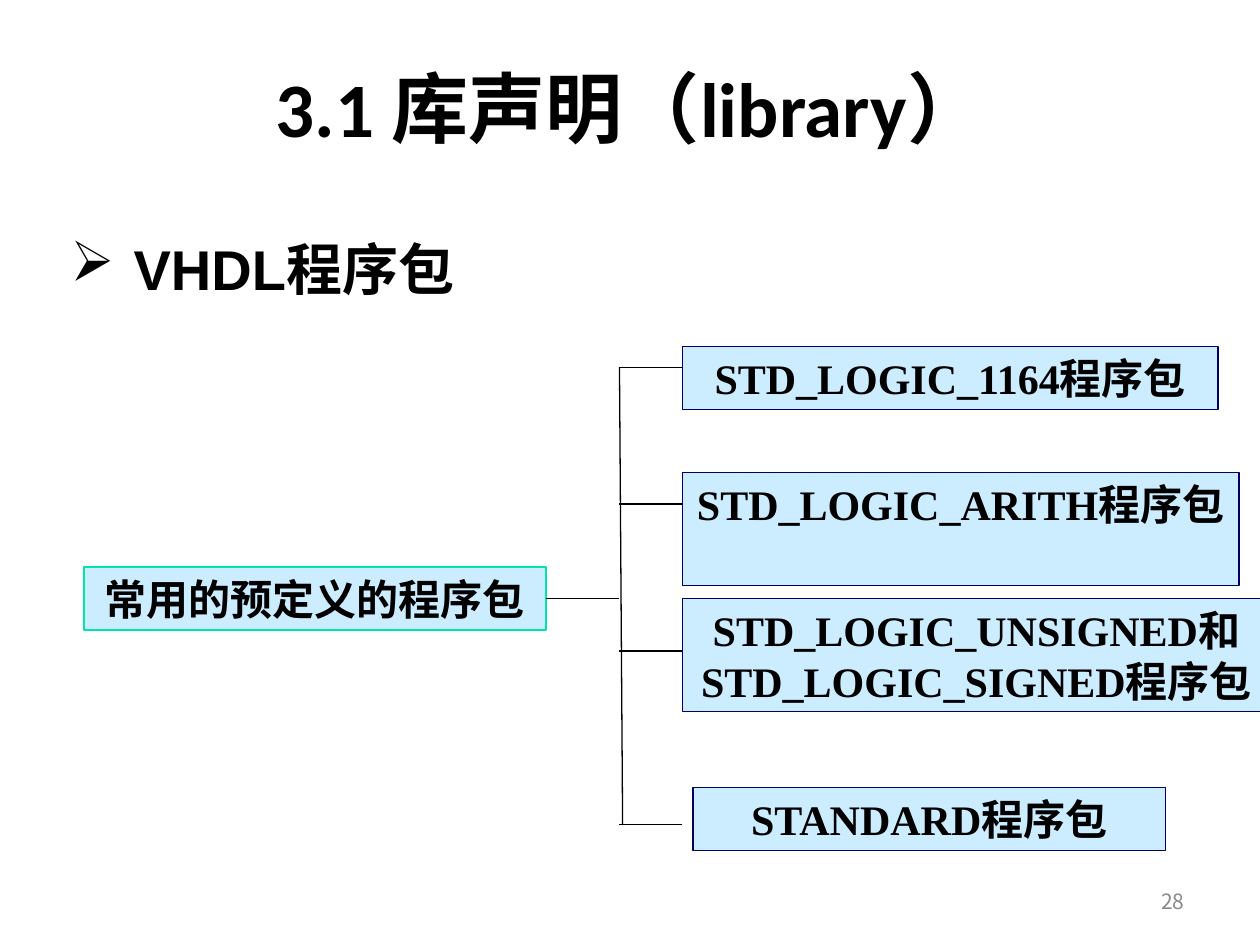
from lxml import etree
from pptx import Presentation
from pptx import util as u
from pptx.dml.color import RGBColor
from pptx.enum import shapes, text
from pptx.oxml import ns

COLS, ROWS = 120, 90
SLIDE_W, SLIDE_H = u.Inches(10), u.Inches(7.5)

BLACK = RGBColor(0x00, 0x00, 0x00)
GREY = RGBColor(0x89, 0x89, 0x89)
PALE_BLUE = RGBColor(0xCC, 0xEC, 0xFF)
NAVY = RGBColor(0x00, 0x00, 0x66)
GREEN = RGBColor(0x00, 0xE4, 0xA8)

# Packages: label, then box as (column, row, columns, rows)
PACKAGES = [
    ("STD_LOGIC_1164程序包", (65, 33, 51, 6)),
    ("STD_LOGIC_ARITH程序包", (65, 45, 53, 10.8)),
    ("STD_LOGIC_UNSIGNED和STD_LOGIC_SIGNED程序包", (65, 57, 56, 10.8)),
    ("STANDARD程序包", (66, 75, 45, 6)),
]
BRANCH_ROWS = [35, 48, 62, 78.5]


def x(col):
    return u.Emu(round(SLIDE_W * col / COLS))


def y(row):
    return u.Emu(round(SLIDE_H * row / ROWS))


def place(box):
    col, row, cols, rows = box
    return x(col), y(row), x(cols), y(rows)


def write(sp, words, size, font, color=BLACK, bold=True,
          align=text.PP_ALIGN.CENTER, anchor=text.MSO_ANCHOR.MIDDLE):
    tf = sp.text_frame
    tf.word_wrap = True
    tf.vertical_anchor = anchor
    p = tf.paragraphs[0]
    p.alignment = align
    r = p.add_run()
    r.text = words
    r.font.size = u.Pt(size)
    r.font.name = font
    r.font.bold = bold
    r.font.color.rgb = color
    return p


def add_label(s, box, words, size, font, **style):
    return write(s.shapes.add_textbox(*place(box)), words, size, font, **style)


def add_arrow_bullet(p):
    pPr = p._p.get_or_add_pPr()
    pPr.set("marL", str(u.Inches(0.5)))
    pPr.set("indent", str(-u.Inches(0.5)))
    font = etree.SubElement(pPr, ns.qn("a:buFont"))
    font.set("typeface", "Wingdings")
    font.set("charset", "2")
    etree.SubElement(pPr, ns.qn("a:buChar")).set("char", "Ø")


def add_node(s, box, words, border):
    sp = s.shapes.add_shape(shapes.MSO_SHAPE.RECTANGLE, *place(box))
    sp.shadow.inherit = False
    sp.fill.solid()
    sp.fill.fore_color.rgb = PALE_BLUE
    sp.line.color.rgb = border
    sp.line.width = u.Pt(0.75)
    write(sp, words, 24, "Times New Roman", anchor=text.MSO_ANCHOR.TOP)


def add_line(s, start, end):
    line = s.shapes.add_connector(shapes.MSO_CONNECTOR.STRAIGHT,
                                  x(start[0]), y(start[1]), x(end[0]), y(end[1]))
    line.line.color.rgb = BLACK
    line.line.width = u.Pt(0.75)
    etree.SubElement(line._element.spPr, ns.qn("a:effectLst"))


def add_package_tree(s, root_box, trunk, branch_end):
    """Root box on the left, a trunk line, and one branch per package."""
    col, row, cols, rows = root_box
    add_node(s, root_box, "常用的预定义的程序包", GREEN)
    for words, box in PACKAGES:
        add_node(s, box, words, NAVY)
    add_line(s, (trunk, BRANCH_ROWS[0]), (trunk + 0.3, BRANCH_ROWS[-1]))
    for branch in BRANCH_ROWS:
        add_line(s, (trunk, branch), (branch_end, branch))
    middle = row + rows / 2
    add_line(s, (col + cols, middle), (trunk, middle))


def main():
    prs = Presentation()
    prs.slide_width, prs.slide_height = SLIDE_W, SLIDE_H
    s = prs.slides.add_slide(prs.slide_layouts[6])
    heading = add_label(s, (-0.5, 19.9, 51, 11.2), "VHDL程序包", 32, "Arial")
    add_arrow_bullet(heading)
    add_package_tree(s, (8, 54, 44, 6), trunk=59, branch_end=65)
    add_label(s, (6, 2.7, 108, 15), "3.1 库声明（library）", 44, "Calibri")
    add_label(s, (86, 83.4, 28, 4.8), "28", 12, "Noto Sans CJK SC",
              color=GREY, bold=False, align=text.PP_ALIGN.RIGHT)
    prs.save("out.pptx")


if __name__ == "__main__":
    main()
